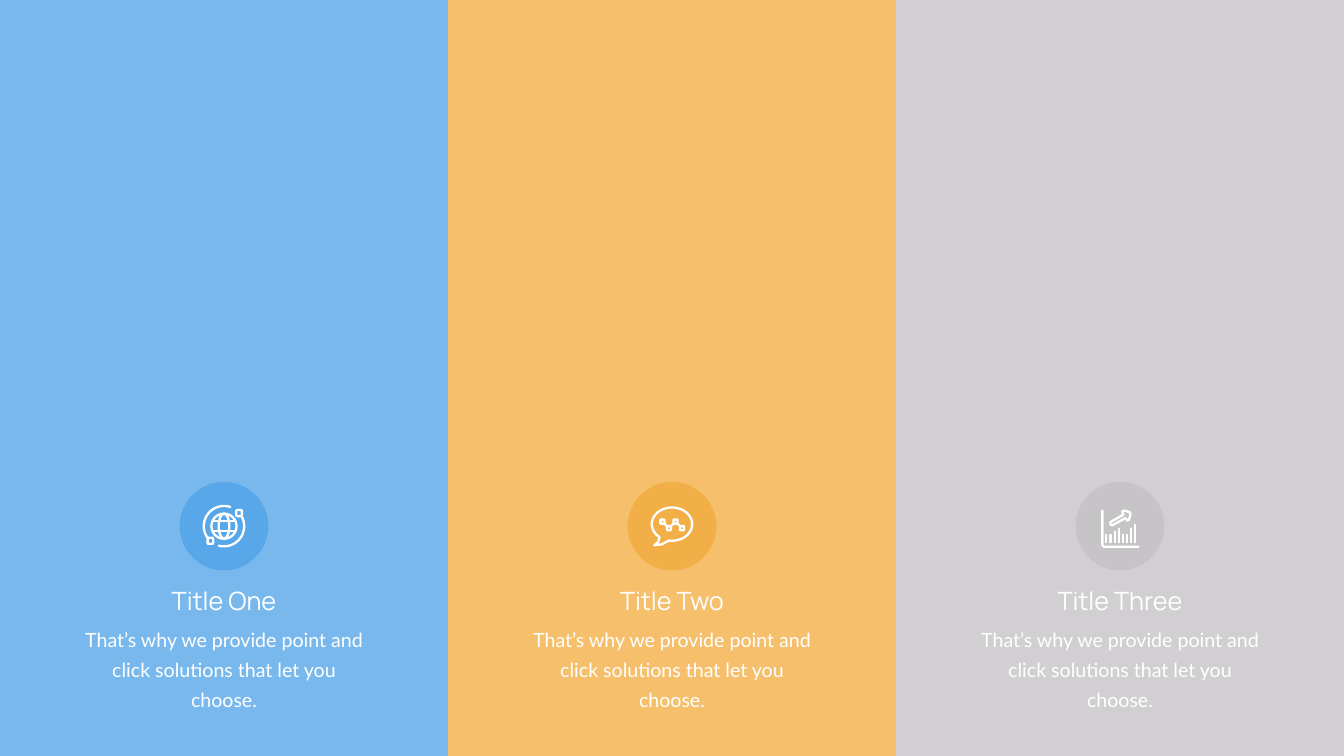
from math import cos, radians, sin

from lxml.etree import SubElement
from pptx import Presentation
from pptx.dml.color import RGBColor
from pptx.enum.shapes import MSO_SHAPE as SHAPE
from pptx.enum.text import MSO_AUTO_SIZE as AUTO, PP_ALIGN as ALIGN
from pptx.oxml.ns import qn
from pptx.util import Inches, Pt

WHITE = RGBColor(0xFF, 0xFF, 0xFF)
BLUE = RGBColor(0x57, 0xA7, 0xE9)
ORANGE = RGBColor(0xF3, 0xAF, 0x47)
GREY = RGBColor(0xC7, 0xC4, 0xC7)

WIDTH, HEIGHT = 26.66, 15
COLUMN = WIDTH / 3
BADGE_Y, BADGE_SIZE = 10.44, 1.76
BODY = "That’s why we provide point and click solutions that let you choose."


def arc(rx, ry, start, end, cx=0, cy=0, step=4):
    """Points on an ellipse, in degrees clockwise from the right."""
    n = max(1, round((end - start) / step))
    angles = [radians(start + (end - start) * i / n) for i in range(n + 1)]
    return [(cx + rx * cos(a), cy + ry * sin(a)) for a in angles]


class Deck:
    """Style and current slide; icon parts are placed from the point (cx, cy)."""

    def __init__(self, s):
        self.s = s
        self.cx, self.cy = 0, BADGE_Y

    def solid(self, kind, x, y, w, h, color, alpha=None):
        sp = self.s.shapes.add_shape(kind, Inches(x), Inches(y), Inches(w), Inches(h))
        sp.shadow.inherit = False
        sp.fill.solid()
        sp.fill.fore_color.rgb = color
        sp.line.fill.background()
        if alpha:
            clr = sp._element.spPr.find(qn("a:solidFill"))[0]
            SubElement(clr, qn("a:alpha"), val=str(alpha * 1000))

    def outline(self, sp, width):
        sp.shadow.inherit = False
        sp.fill.background()
        sp.line.color.rgb = WHITE
        sp.line.width = Pt(width)
        ln = sp._element.spPr.find(qn("a:ln"))
        ln.set("cap", "rnd")
        SubElement(ln, qn("a:round"))

    def stroke(self, points, closed=False, width=3.3):
        pts = [(Inches(self.cx + x), Inches(self.cy + y)) for x, y in points]
        builder = self.s.shapes.build_freeform(*pts[0], scale=1.0)
        builder.add_line_segments(pts[1:], close=closed)
        self.outline(builder.convert_to_shape(), width)

    def ring(self, kind, x, y, w, h):
        """Outlined preset centred on (x, y)."""
        sp = self.s.shapes.add_shape(
            kind, Inches(self.cx + x - w / 2), Inches(self.cy + y - h / 2),
            Inches(w), Inches(h))
        self.outline(sp, 3.3)

    def text(self, y, w, h, words, font, size, spacing=None, wrap=False):
        """Text centred on cx."""
        tf = self.s.shapes.add_textbox(
            Inches(self.cx - w / 2), Inches(y), Inches(w), Inches(h)).text_frame
        tf.word_wrap = wrap
        tf.auto_size = AUTO.NONE
        p = tf.paragraphs[0]
        p.alignment = ALIGN.CENTER
        if spacing:
            p.line_spacing = Pt(spacing)
        r = p.add_run()
        r.text = words
        r.font.name, r.font.size = font, Pt(size)
        r.font.color.rgb = WHITE


def globe(d):
    d.ring(SHAPE.OVAL, 0, 0, 0.5, 0.5)
    d.ring(SHAPE.OVAL, 0, 0, 0.21, 0.5)
    for y in (-0.1, 0.1):
        d.stroke([(-0.22, y), (0.22, y)])
    for start, end, x, y in ((-28, 105, 0.3, -0.26), (145, 288, -0.27, 0.29)):
        d.stroke(arc(0.4, 0.4, start, end))
        d.ring(SHAPE.ROUNDED_RECTANGLE, x, y, 0.11, 0.12)


def speech_bubble(d):
    tail = [(-0.07, 0.29), (-0.2, 0.36), (-0.35, 0.38), (-0.27, 0.31), (-0.25, 0.22)]
    d.stroke(arc(0.4, 0.33, 128, 460, cy=-0.04) + tail, closed=True)
    zigzag = []
    for i in range(4):
        x, y = -0.19 + 0.13 * i, 0.04 if i % 2 else -0.09
        link = -0.04 if i % 2 else 0.04
        start, end = (x - 0.04, y + link), (x + 0.04, y + link)
        zigzag += [start, (x - 0.04, y - link), (x + 0.04, y - link), end, start, end]
    d.stroke(zigzag)


def growth_chart(d):
    d.stroke([(-0.35, -0.31)] + arc(0.05, 0.05, 180, 90, -0.3, 0.36, step=-15)
             + [(0.37, 0.41)])
    for i, top in enumerate((0.17, 0.17, 0.11, 0.05, 0.17, 0.17, 0.05, -0.03)):
        x = -0.27 + 0.57 / 7 * i
        d.stroke([(x, top), (x, 0.32)], width=3)
    d.stroke([(-0.19, -0.08), (0.07, -0.23), (0.04, -0.29), (0.08, -0.31),
              (0.19, -0.28), (0.21, -0.24), (0.18, -0.13), (0.14, -0.11),
              (0.11, -0.16), (-0.15, -0.02), (-0.19, -0.03)], closed=True)


def main():
    prs = Presentation()
    prs.slide_width, prs.slide_height = Inches(WIDTH), Inches(HEIGHT)
    d = Deck(prs.slides.add_slide(prs.slide_layouts[6]))
    columns = (("Title One", 2.39, BLUE, globe),
               ("Title Two", 2.37, ORANGE, speech_bubble),
               ("Title Three", 2.77, GREY, growth_chart))
    for i, (title, title_width, color, icon) in enumerate(columns):
        left = i * COLUMN
        d.cx = left + COLUMN / 2
        d.solid(SHAPE.RECTANGLE, left, 0, COLUMN, HEIGHT, color, alpha=80)
        d.solid(SHAPE.OVAL, d.cx - BADGE_SIZE / 2, BADGE_Y - BADGE_SIZE / 2,
                BADGE_SIZE, BADGE_SIZE, color)
        icon(d)
        d.text(12.27, 5.97, 1.25, BODY, "Lato", 28, spacing=43, wrap=True)
        d.text(11.57, title_width, 0.71, title, "Manrope", 36)
    prs.save("out.pptx")


if __name__ == "__main__":
    main()
